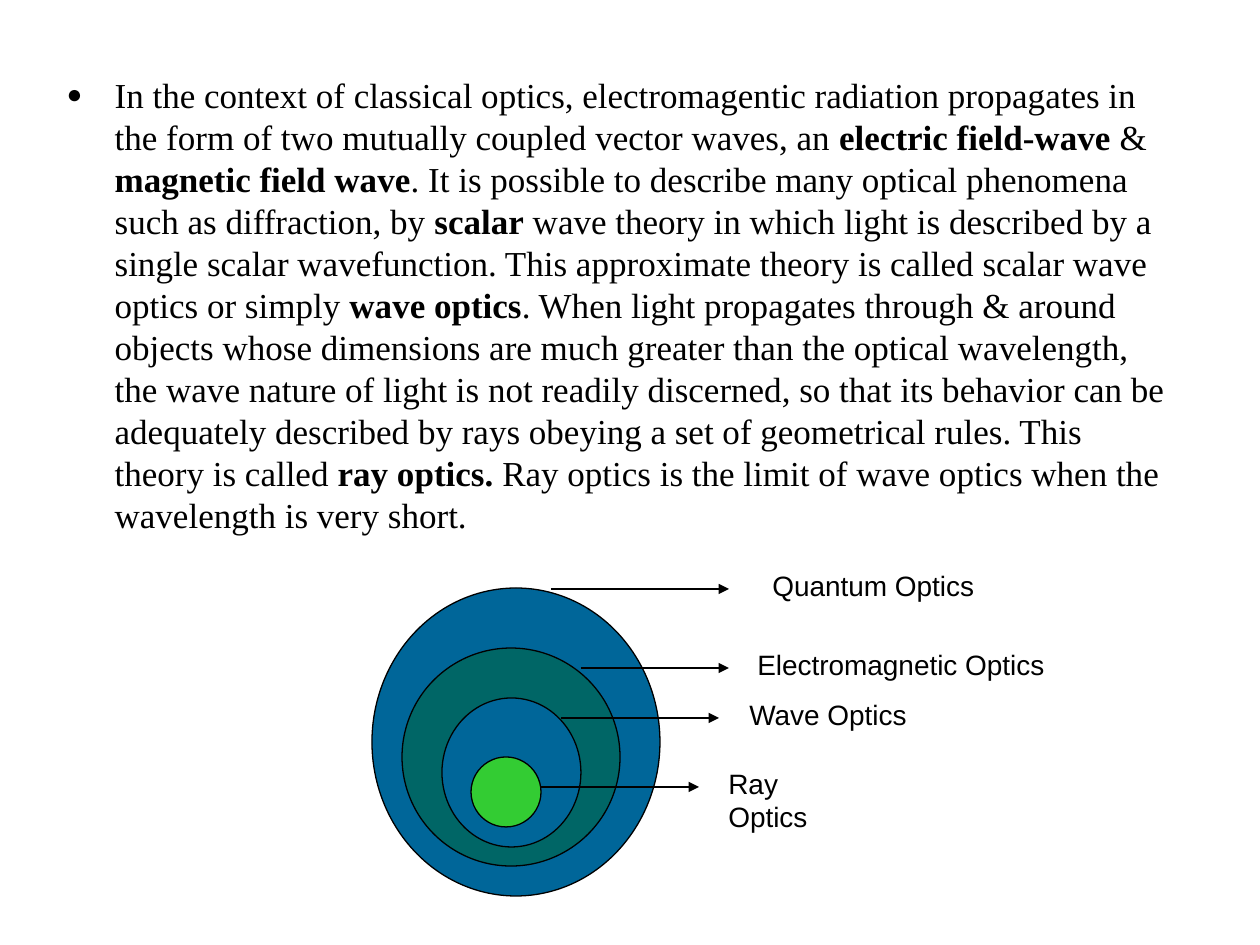
from lxml import etree
from pptx import Presentation
from pptx.dml.color import RGBColor
from pptx.enum.shapes import MSO_CONNECTOR, MSO_SHAPE
from pptx.enum.text import MSO_ANCHOR, MSO_AUTO_SIZE, PP_ALIGN
from pptx.oxml.ns import qn
from pptx.util import Pt

ELLIPSE = MSO_SHAPE.OVAL
STRAIGHT = MSO_CONNECTOR.STRAIGHT
LEFT, TOP, NO_FIT = PP_ALIGN.LEFT, MSO_ANCHOR.TOP, MSO_AUTO_SIZE.NONE

PX_PER_INCH = 126
COLORS = {"black": "000000", "blue": "006699", "teal": "006666", "green": "33CC33"}
BODY_FONT = {"name": "Times New Roman", "size": Pt(20)}
LABEL_FONT = {"name": "Arial", "size": Pt(16)}

# (text, bold)
PASSAGE = [
    ("In the context of classical optics, electromagentic radiation propagates in "
     "the form of two mutually coupled vector waves, an ", False),
    ("electric field-wave", True),
    (" & ", False),
    ("magnetic field wave", True),
    (". It is possible to describe many optical phenomena such as diffraction, by ", False),
    ("scalar", True),
    (" wave theory in which light is described by a single scalar wavefunction. "
     "This approximate theory is called scalar wave optics or simply ", False),
    ("wave optics", True),
    (". When light propagates through & around objects whose dimensions are much "
     "greater than the optical wavelength, the wave nature of light is not readily "
     "discerned, so that its behavior can be adequately described by rays obeying a "
     "set of geometrical rules. This theory is called ", False),
    ("ray optics. ", True),
    ("Ray optics is the limit of wave optics when the wavelength is very short.", False),
]

# Outermost first: left, top, width, height, fill
REGIONS = [
    (372, 588, 288, 308, "blue"),
    (402, 648, 218, 218, "teal"),
    (442, 698, 139, 149, "blue"),
    (471, 757, 70, 70, "green"),
]

# Arrow start x, arrow end x, y, label left, label width, label
CALLOUTS = [
    (551, 729, 589, 760, 227, "Quantum Optics"),
    (581, 729, 668, 745, 312, "Electromagnetic Optics"),
    (561, 719, 718, 737, 183, "Wave Optics"),
    (541, 699, 787, 716, 161, "Ray Optics"),
]
LABEL_HEIGHT = 47
LABEL_RISE = 27


def px(length):
    return round(length * 914400 / PX_PER_INCH)


def color(name):
    return RGBColor.from_string(COLORS[name])


def set_attributes(target, values):
    for name, value in values.items():
        setattr(target, name, value)


def format_line(line):
    line.color.rgb = color("black")
    line.width = Pt(0.75)


def add_run(paragraph, text, font_values, bold=False):
    run = paragraph.add_run()
    run.text = text
    set_attributes(run.font, {**font_values, "bold": bold})
    run.font.color.rgb = color("black")


def add_bullet(paragraph, indent):
    properties = paragraph._p.get_or_add_pPr()
    properties.set("marL", str(px(indent)))
    properties.set("indent", str(-px(indent)))
    bullet_color = etree.SubElement(properties, qn("a:buClr"))
    etree.SubElement(bullet_color, qn("a:srgbClr"), val=COLORS["black"])
    etree.SubElement(properties, qn("a:buSzPct"), val="75000")
    etree.SubElement(properties, qn("a:buFont"), typeface="Arial")
    etree.SubElement(properties, qn("a:buChar"), char="●")


def fill_passage(body):
    set_attributes(body, {"left": px(54), "top": px(67),
                          "width": px(1134), "height": px(782)})
    set_attributes(body.text_frame, {"word_wrap": True, "auto_size": NO_FIT,
                                     "vertical_anchor": TOP})
    paragraph = body.text_frame.paragraphs[0]
    add_bullet(paragraph, 48)
    set_attributes(paragraph, {"alignment": LEFT, "space_before": Pt(0),
                               "line_spacing": Pt(24)})
    for text, bold in PASSAGE:
        add_run(paragraph, text, BODY_FONT, bold)


def add_region(slide, left, top, width, height, fill):
    region = slide.shapes.add_shape(ELLIPSE, px(left), px(top), px(width), px(height))
    region.shadow.inherit = False
    region.fill.solid()
    region.fill.fore_color.rgb = color(fill)
    format_line(region.line)


def add_arrow(slide, start, end, y):
    arrow = slide.shapes.add_connector(STRAIGHT, px(start), px(y), px(end), px(y))
    format_line(arrow.line)
    etree.SubElement(arrow.line._get_or_add_ln(), qn("a:tailEnd"), type="triangle")
    etree.SubElement(arrow._element.spPr, qn("a:effectLst"))


def add_label(slide, left, top, width, text):
    label = slide.shapes.add_textbox(px(left), px(top), px(width), px(LABEL_HEIGHT))
    label.text_frame.word_wrap = False
    paragraph = label.text_frame.paragraphs[0]
    paragraph.alignment = LEFT
    add_run(paragraph, text, LABEL_FONT)


def main():
    presentation = Presentation()
    set_attributes(presentation, {"slide_width": px(1260), "slide_height": px(945)})
    slide = presentation.slides.add_slide(presentation.slide_layouts[1])

    # The slide has a body but no title
    title = slide.shapes.title._element
    title.getparent().remove(title)
    fill_passage(slide.placeholders[1])

    # Nested theories of light
    for region in REGIONS:
        add_region(slide, *region)

    # Arrows and their labels
    for start, end, y, left, width, text in CALLOUTS:
        add_arrow(slide, start, end, y)
        add_label(slide, left, y - LABEL_RISE, width, text)

    presentation.save("out.pptx")


if __name__ == "__main__":
    main()
